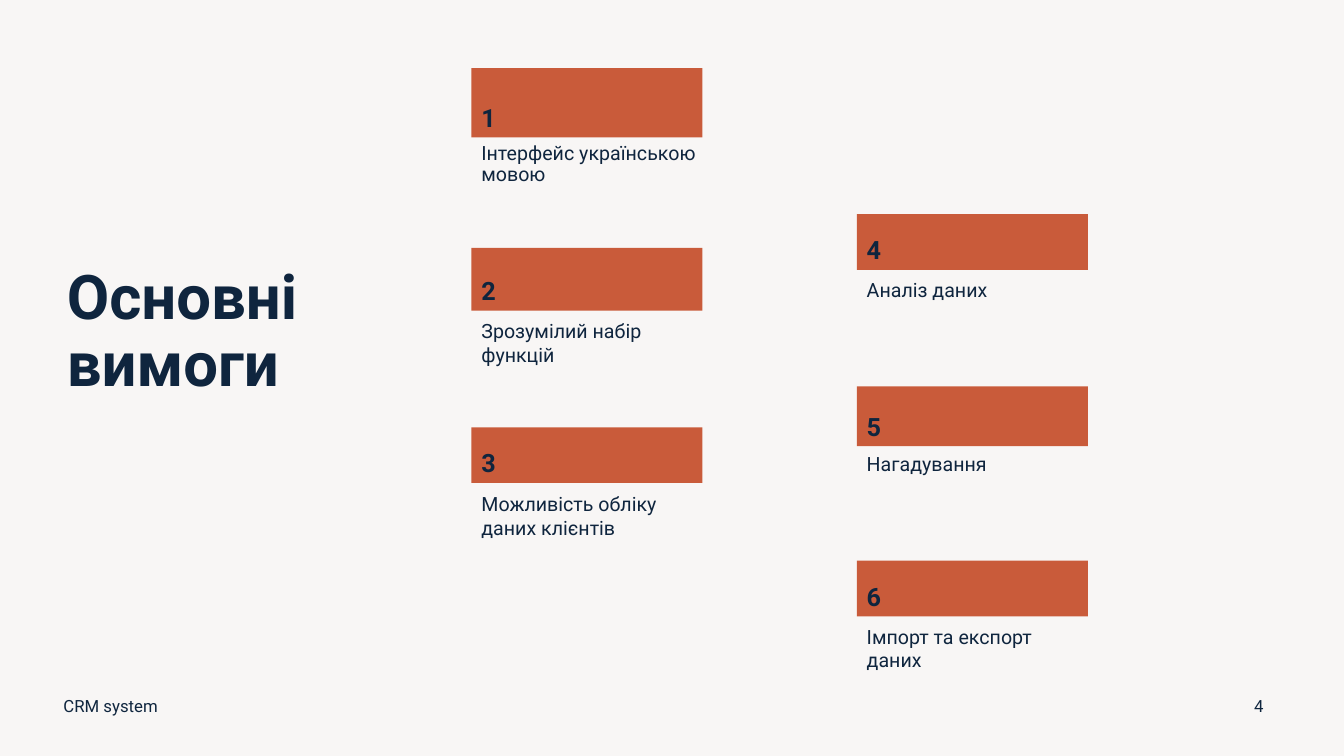
import pptx
import pptx.util
import pptx.dml.color
import pptx.enum.shapes
import pptx.enum.text

PX = 9525
FONT = "Roboto"
COLORS = {"paper": "F8F6F5", "ink": "0F253E", "accent": "C95B3A"}
ALIGN = pptx.enum.text.PP_ALIGN
ANCHOR = pptx.enum.text.MSO_ANCHOR

CARD_W = 220
LABEL_H = 53
COLUMNS = [
    (449, [
        (65, 66, 132, 240, "Інтерфейс українською мовою", 0.9, 0),
        (236, 60, 299, 230, "Зрозумілий набір функцій", 1.0, 0),
        (407, 53, 464, CARD_W, "Можливість обліку даних клієнтів", 1.0, 10),
    ]),
    (816, [
        (204, 53, 260, CARD_W, "Аналіз даних", 1.0, 10),
        (368, 57, 426, CARD_W, "Нагадування", 1.0, 10),
        (534, 53, 590, CARD_W, "Імпорт та експорт даних", 1.0, 10),
    ]),
]


def color(name):
    return pptx.dml.color.RGBColor.from_string(COLORS[name])


def emu(*lengths):
    return [pptx.util.Emu(n * PX) for n in lengths]


def write(sp, text, size, bold=False, align=ALIGN.LEFT, anchor=ANCHOR.TOP,
          spacing=1.0, before=0):
    tf = sp.text_frame
    tf.word_wrap = True
    tf.auto_size = pptx.enum.text.MSO_AUTO_SIZE.NONE
    tf.vertical_anchor = anchor
    p = tf.paragraphs[0]
    p.text = text
    p.alignment = align
    p.line_spacing = spacing
    p.space_before = pptx.util.Pt(before)
    p.font.name = FONT
    p.font.size = pptx.util.Pt(size)
    p.font.bold = bold
    p.font.color.rgb = color("ink")


def add_title(s, box, text):
    sp = s.shapes.title
    sp.left, sp.top, sp.width, sp.height = emu(*box)
    write(sp, text, 44, bold=True, spacing=0.9)


def add_text(s, box, text, size, **style):
    sp = s.shapes.add_textbox(*emu(*box))
    write(sp, text, size, **style)


def add_number_block(s, box, number):
    sp = s.shapes.add_shape(pptx.enum.shapes.MSO_SHAPE.RECTANGLE, *emu(*box))
    sp.shadow.inherit = False
    sp.fill.solid()
    sp.fill.fore_color.rgb = color("accent")
    sp.line.fill.background()
    write(sp, str(number), 18, bold=True, anchor=ANCHOR.BOTTOM, before=10)


def main():
    prs = pptx.Presentation()
    prs.slide_width, prs.slide_height = emu(1280, 720)
    s = prs.slides.add_slide(prs.slide_layouts.get_by_name("Title Only"))
    s.background.fill.solid()
    s.background.fill.fore_color.rgb = color("paper")

    add_title(s, (54, 249, 411, 381), "Основні вимоги")
    number = 0
    for x, cards in COLUMNS:
        for y, h, label_y, label_w, text, spacing, before in cards:
            number += 1
            add_number_block(s, (x, y, CARD_W, h), number)
            add_text(s, (x, label_y, label_w, LABEL_H), text, 14,
                     spacing=spacing, before=before)

    add_text(s, (51, 653, 432, 38), "CRM system", 12, anchor=ANCHOR.MIDDLE)
    add_text(s, (1175, 653, 48, 38), "4", 12, align=ALIGN.CENTER,
             anchor=ANCHOR.MIDDLE)
    prs.save("out.pptx")


if __name__ == "__main__":
    main()
